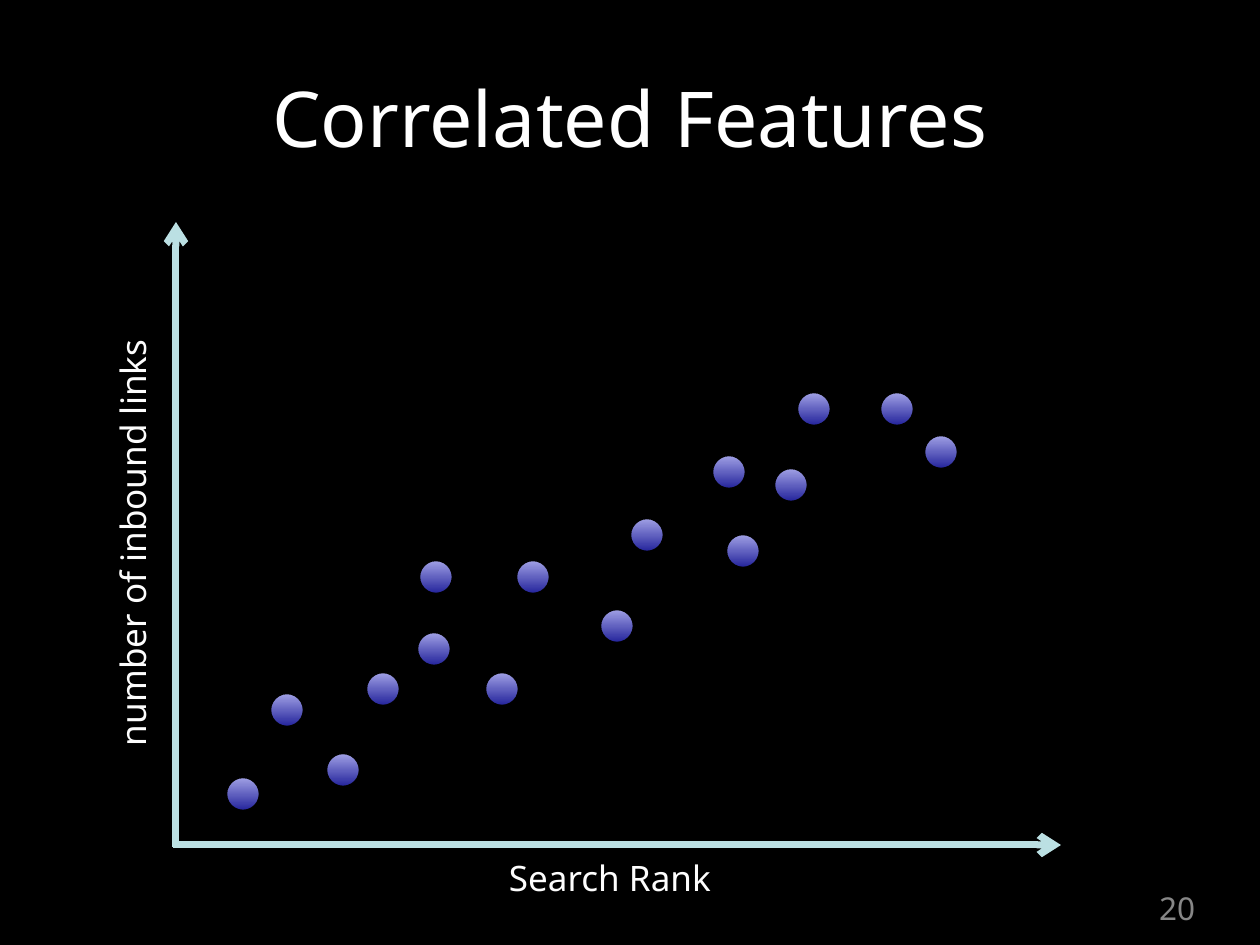
from lxml.etree import SubElement
from pptx import Presentation
from pptx.dml.color import RGBColor
from pptx.enum.shapes import MSO_CONNECTOR, MSO_SHAPE
from pptx.enum.text import MSO_ANCHOR, MSO_AUTO_SIZE, PP_ALIGN
from pptx.oxml.ns import qn
from pptx.util import Emu, Pt

PX_PER_INCH = 126
COLORS = {
    "background": "000000",
    "title": "FFFFFF",
    "label": "FDFDFD",
    "number": "878787",
    "axis": "BBE0E3",
    "dot_bottom": "202099",
    "dot_top": "A4A4E7",
    "dot_line": "000000",
}
DOT_SIZE = 35
DOT_CENTERS = [
    (287, 710), (243, 794), (383, 689), (343, 770),
    (436, 577), (434, 649), (502, 689), (533, 577),
    (647, 535), (617, 626), (729, 472), (814, 409),
    (941, 452), (791, 485), (743, 551), (897, 409),
]


def px(*lengths):
    return [Emu(round(length * 914400 / PX_PER_INCH)) for length in lengths]


def color(name):
    return RGBColor.from_string(COLORS[name])


class SlideBuilder:
    font = "Noto Sans"

    def __init__(self, page):
        self.page = page
        page.background.fill.solid()
        page.background.fill.fore_color.rgb = color("background")

    def set_text(self, frame, text, size, color_name, align, inset):
        frame.text = text
        frame.margin_left, frame.margin_top, frame.margin_right, frame.margin_bottom = px(*[inset] * 4)
        para = frame.paragraphs[0]
        para.alignment = align
        span = para.runs[0]
        span.font.name = self.font
        span.font.size = Pt(size)
        span.font.color.rgb = color(color_name)

    def title(self, text, left, top, width, height):
        box = self.page.shapes.title
        box.left, box.top, box.width, box.height = px(left, top, width, height)
        frame = box.text_frame
        self.set_text(frame, text, 44, "title", PP_ALIGN.CENTER, 5)
        frame.vertical_anchor = MSO_ANCHOR.MIDDLE
        frame.word_wrap = True

    def label(self, text, left, top, width, height, size=20, color_name="label",
              align=PP_ALIGN.LEFT, rotation=0):
        box = self.page.shapes.add_textbox(*px(left, top, width, height))
        box.rotation = rotation
        frame = box.text_frame
        self.set_text(frame, text, size, color_name, align, 6)
        frame.word_wrap = False
        frame.auto_size = MSO_AUTO_SIZE.SHAPE_TO_FIT_TEXT

    def group(self):
        return self.page.shapes.add_group_shape().shapes

    def axis(self, shapes, x1, y1, x2, y2):
        arrow = shapes.add_connector(MSO_CONNECTOR.STRAIGHT, *px(x1, y1, x2, y2))
        arrow.line.color.rgb = color("axis")
        arrow.line.width = Pt(4)
        properties = arrow._element.spPr
        SubElement(properties.find(qn("a:ln")), qn("a:tailEnd"), type="arrow")
        SubElement(properties, qn("a:effectLst"))

    def dot(self, shapes, x, y):
        radius = DOT_SIZE / 2
        dot = shapes.add_shape(MSO_SHAPE.OVAL, *px(x - radius, y - radius, DOT_SIZE, DOT_SIZE))
        dot.shadow.inherit = False
        dot.fill.gradient()
        dot.fill.gradient_angle = 90
        for stop, name in zip(dot.fill.gradient_stops, ("dot_bottom", "dot_top")):
            stop.color.rgb = color(name)
        dot.line.color.rgb = color("dot_line")
        dot.line.width = Pt(2)


def main():
    deck = Presentation()
    deck.slide_width, deck.slide_height = px(1260, 945)
    slide = SlideBuilder(deck.slides.add_slide(deck.slide_layouts[5]))

    # Title and slide number
    slide.title("Correlated Features", 63, 13, 1134, 208)
    slide.label("20", 1150, 883, 54, 49, size=18, color_name="number", align=PP_ALIGN.CENTER)

    # Axes
    axes = slide.group()
    slide.axis(axes, 173, 845, 1061, 845)
    slide.axis(axes, 176, 847, 176, 222)

    # Axis labels
    slide.label("Search Rank", 503, 851, 229, 53)
    slide.label("number of inbound links", -86, 508, 435, 53, rotation=270)

    # Data points
    dots = slide.group()
    for x, y in DOT_CENTERS:
        slide.dot(dots, x, y)

    deck.save("out.pptx")


if __name__ == "__main__":
    main()
